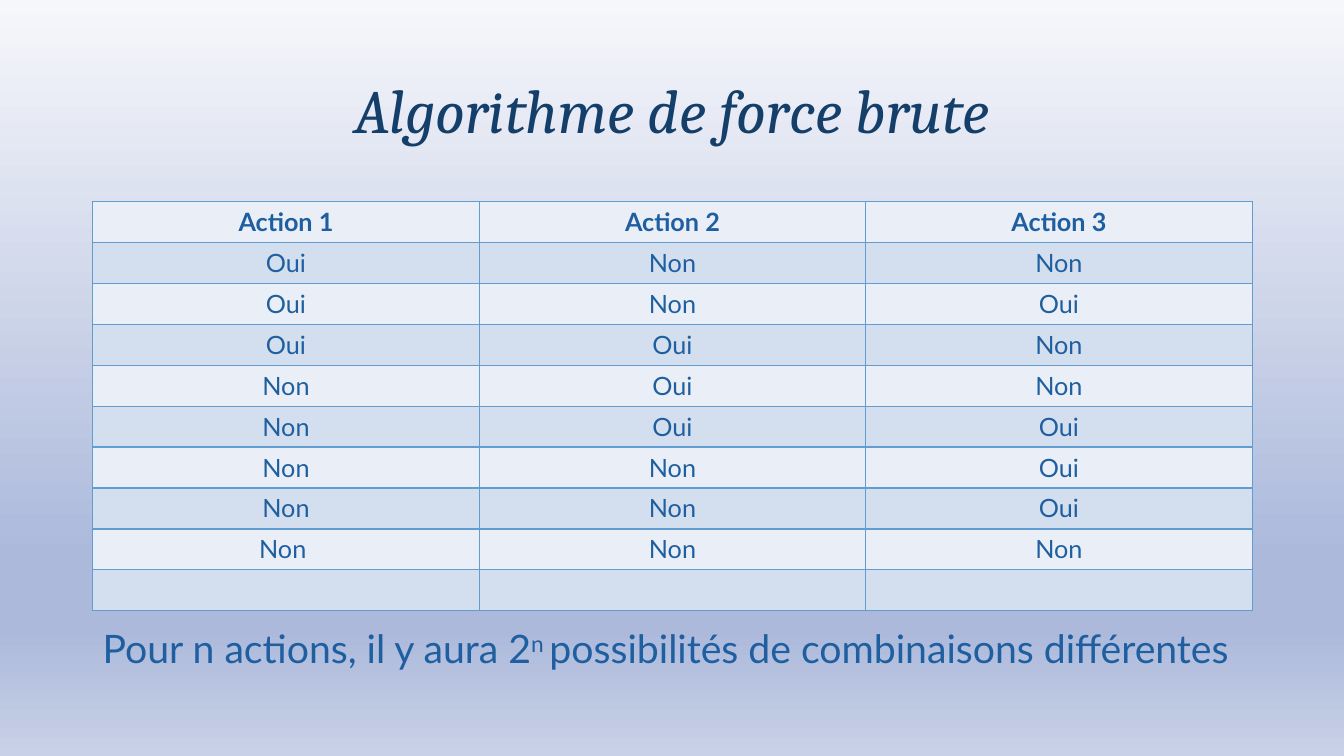
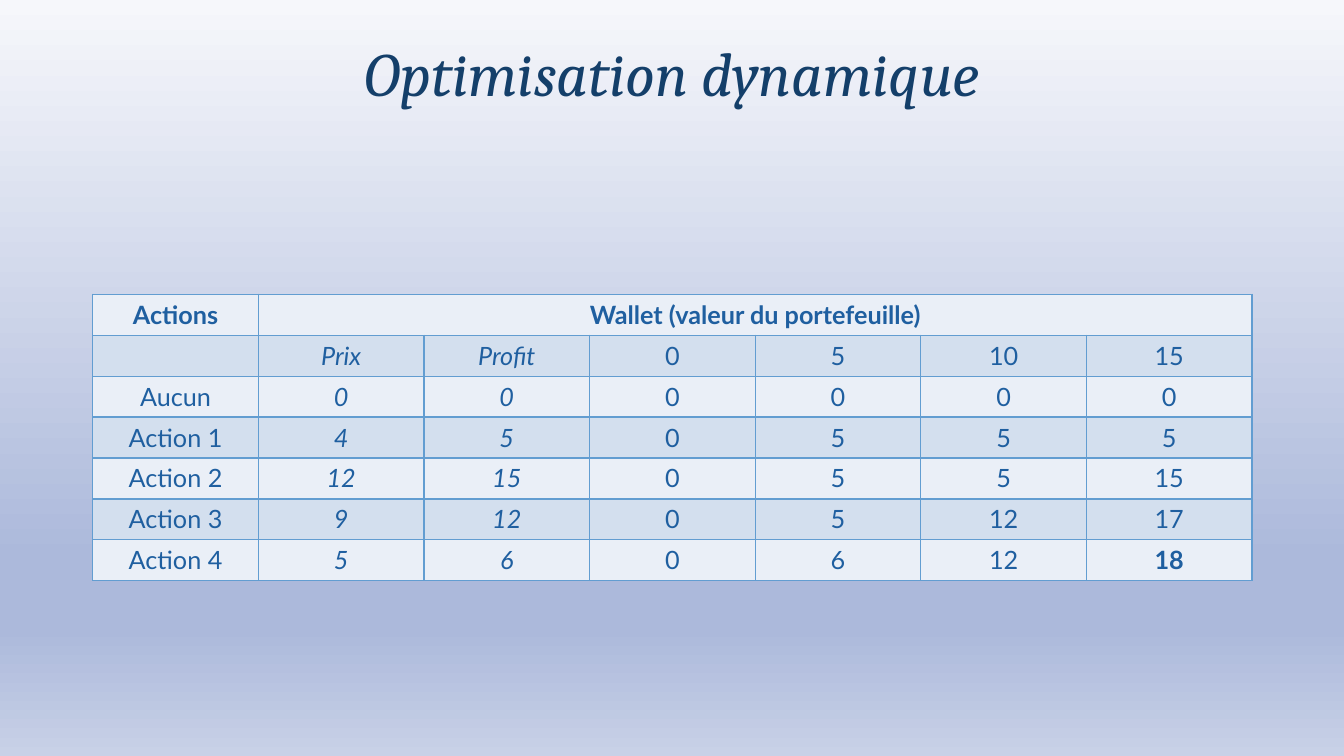
"""Build two slides comparing brute force and dynamic optimisation."""
from dataclasses import dataclass

from lxml import etree
from pptx import Presentation
from pptx.dml.color import RGBColor
from pptx.enum.text import MSO_ANCHOR, PP_ALIGN
from pptx.oxml.ns import qn
from pptx.util import Inches, Pt

CENTER, LEFT = PP_ALIGN.CENTER, PP_ALIGN.LEFT
MIDDLE = MSO_ANCHOR.MIDDLE
COLORS = {"title": "143F6A", "text": "1F5FA0", "border": "629DD1",
          "light": "EAEFF7", "band": "D3DFEE"}
BACKGROUND_STOPS = ((0, "F6F7FB"), (74, "ACB9DB"), (83, "ACB9DB"), (100, "C8D1E7"))
TITLE_FONT, BODY_FONT = "Cambria", "Lato"
MARGIN, CONTENT_WIDTH = Inches(0.92), Inches(11.5)
ROW_HEIGHT = Inches(0.406)
BORDER_WIDTH = Pt(1)


@dataclass(frozen=True)
class Run:
    text: str
    superscript: bool = False


@dataclass(frozen=True)
class Grid:
    top: float
    rows: tuple[tuple[str, ...], ...]
    italic_columns: tuple[int, ...] = ()
    bold_cells: tuple[tuple[int, int], ...] = ()
    header_span_start: int | None = None


BRUTE_FORCE = Grid(2, (
    ("Action 1", "Action 2", "Action 3"),
    ("Oui", "Non", "Non"),
    ("Oui", "Non", "Oui"),
    ("Oui", "Oui", "Non"),
    ("Non", "Oui", "Non"),
    ("Non", "Oui", "Oui"),
    ("Non", "Non", "Oui"),
    ("Non", "Non", "Oui"),
    ("Non ", "Non", "Non"),
    ("", "", ""),
))
WALLET = Grid(2.92, (
    ("Actions", "Wallet (valeur du portefeuille)", "", "", "", "", ""),
    ("", "Prix", "Profit", "0", "5", "10", "15"),
    ("Aucun", "0", "0", "0", "0", "0", "0"),
    ("Action 1", "4", "5", "0", "5", "5", "5"),
    ("Action 2", "12", "15", "0", "5", "5", "15"),
    ("Action 3", "9", "12", "0", "5", "12", "17"),
    ("Action 4", "5", "6", "0", "6", "12", "18"),
), italic_columns=(1, 2), bold_cells=((6, 6),), header_span_start=1)
FORMULA = (Run("Pour n actions, il y aura 2"), Run("n ", superscript=True),
           Run("possibilités de combinaisons différentes"))


def write(frame, *runs: Run, size: float = 18, font: str = BODY_FONT,
          color: str = "text", bold: bool = False, italic: bool = False,
          align=CENTER, line_spacing: float = 1, space_before: float = 0) -> None:
    paragraph = frame.paragraphs[0]
    paragraph.alignment = align
    paragraph.line_spacing = line_spacing
    paragraph.space_before = Pt(space_before)
    for part in runs:
        run = paragraph.add_run()
        run.text = part.text
        run.font.size, run.font.name = Pt(size), font
        run.font.bold, run.font.italic = bold, italic
        run.font.color.rgb = RGBColor.from_string(COLORS[color])
        if part.superscript:
            run._r.get_or_add_rPr().set("baseline", "30000")


def set_background(master) -> None:
    fill = master.background.fill
    fill.gradient()
    fill.gradient_angle = 270
    stops = master.element.find(".//" + qn("a:gsLst"))
    for stop in list(stops):
        stops.remove(stop)
    for percent, color in BACKGROUND_STOPS:
        stop = etree.SubElement(stops, qn("a:gs"), pos=str(percent * 1000))
        etree.SubElement(stop, qn("a:srgbClr"), val=color)


def add_titled_slide(prs, title: str, bottom_inset: float = 0.05):
    slide = prs.slides.add_slide(prs.slide_layouts[5])
    heading = slide.shapes.title
    heading.left, heading.top = MARGIN, Inches(0.4)
    heading.width, heading.height = CONTENT_WIDTH, Inches(1.45)
    frame = heading.text_frame
    frame.vertical_anchor = MIDDLE
    frame.margin_bottom = Inches(bottom_inset)
    write(frame, Run(title), size=44, font=TITLE_FONT, color="title",
          italic=True, line_spacing=0.9)
    return slide


def style_cell(cell, color: str) -> None:
    properties = cell._tc.get_or_add_tcPr()
    for side in ("a:lnL", "a:lnR", "a:lnT", "a:lnB"):
        line = etree.SubElement(properties, qn(side), w=str(BORDER_WIDTH))
        solid = etree.SubElement(line, qn("a:solidFill"))
        etree.SubElement(solid, qn("a:srgbClr"), val=COLORS["border"])
    cell.fill.solid()
    cell.fill.fore_color.rgb = RGBColor.from_string(COLORS[color])


def add_grid(slide, grid: Grid) -> None:
    row_count, column_count = len(grid.rows), len(grid.rows[0])
    table = slide.shapes.add_table(
        row_count, column_count, MARGIN, Inches(grid.top),
        CONTENT_WIDTH, ROW_HEIGHT * row_count).table
    table.horz_banding = False
    for row_index, values in enumerate(grid.rows):
        for column, value in enumerate(values):
            cell = table.cell(row_index, column)
            style_cell(cell, "band" if row_index % 2 else "light")
            if value:
                header = row_index == 0
                write(cell.text_frame, Run(value),
                      bold=header or (row_index, column) in grid.bold_cells,
                      italic=not header and column in grid.italic_columns)
    if grid.header_span_start is not None:
        table.cell(0, grid.header_span_start).merge(table.cell(0, column_count - 1))


def main() -> None:
    prs = Presentation()
    prs.slide_width, prs.slide_height = Inches(13.33), Inches(7.5)
    set_background(prs.slide_master)

    brute_force = add_titled_slide(prs, "Algorithme de force brute")
    add_grid(brute_force, BRUTE_FORCE)
    formula = brute_force.shapes.add_textbox(
        MARGIN, Inches(6.2), CONTENT_WIDTH, Inches(0.53)).text_frame
    formula.word_wrap = True
    write(formula, *FORMULA, size=28, align=LEFT, line_spacing=0.9, space_before=10)

    dynamic = add_titled_slide(prs, "Optimisation dynamique", bottom_inset=0.79)
    add_grid(dynamic, WALLET)
    prs.save("out.pptx")


if __name__ == "__main__":
    main()
